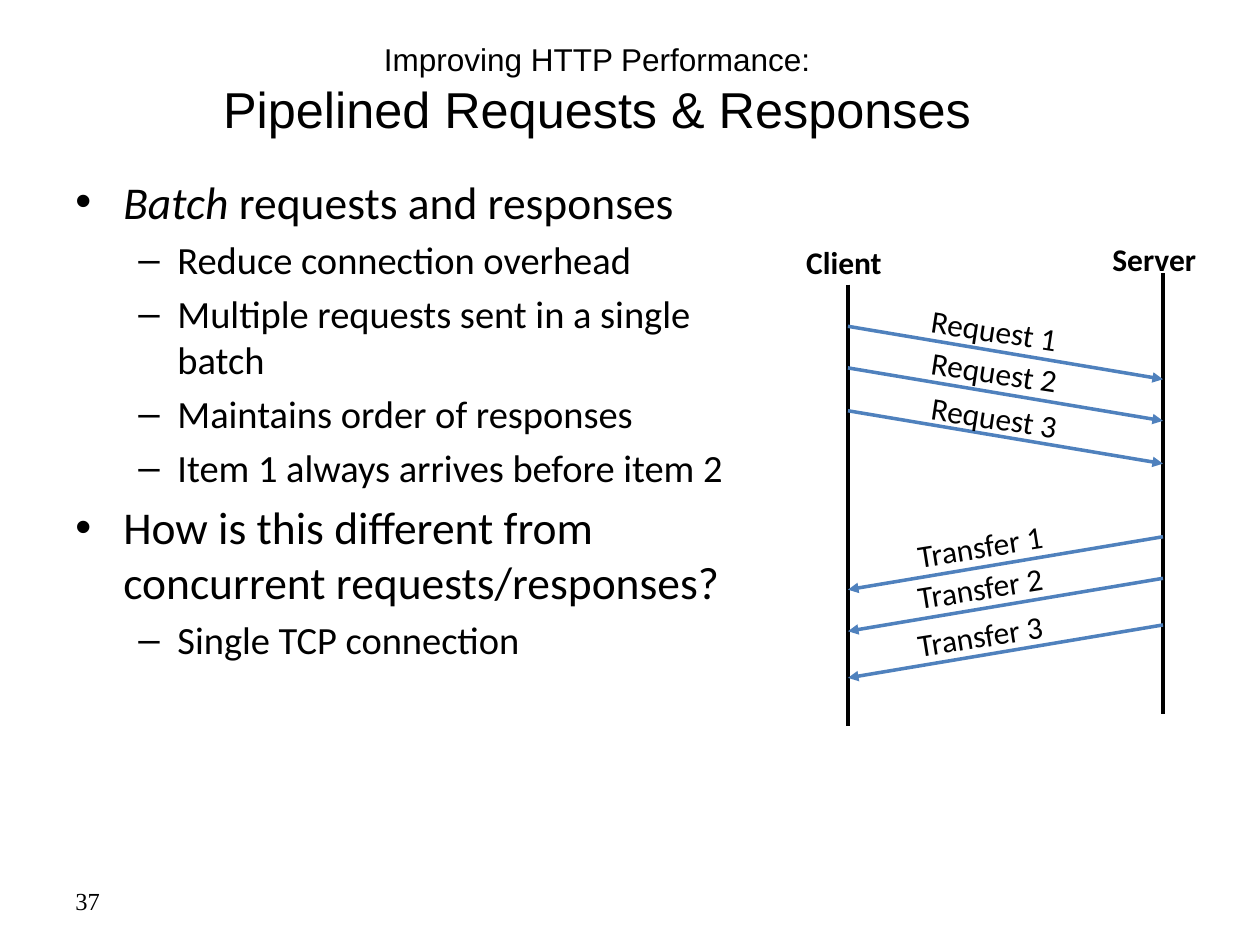
from lxml import etree
from pptx import Presentation
from pptx.dml.color import RGBColor
from pptx.enum.shapes import MSO_CONNECTOR
from pptx.enum.text import MSO_ANCHOR, MSO_AUTO_SIZE, PP_ALIGN
from pptx.oxml.ns import qn
from pptx.util import Inches, Pt

STRAIGHT = MSO_CONNECTOR.STRAIGHT
TOP, MIDDLE = MSO_ANCHOR.TOP, MSO_ANCHOR.MIDDLE
CENTER = PP_ALIGN.CENTER
NO_FIT = MSO_AUTO_SIZE.NONE
TITLE_ONLY = 5
COLORS = {"text": "000000", "arrow": "4F81BD"}
CLIENT_COLUMN, SERVER_COLUMN = 67.3, 92.3
LEVELS = [("•", 0.38, 0.38, 26), ("–", 0.81, 0.31, 22)]
POINTS = [
    (0, [("Batch", True), (" requests and responses", False)]),
    (1, [("Reduce connection overhead", False)]),
    (1, [("Multiple requests sent in a single batch", False)]),
    (1, [("Maintains order of responses", False)]),
    (1, [("Item 1 always arrives before item 2", False)]),
    (0, [("How is this different from concurrent requests/responses?", False)]),
    (1, [("Single TCP connection", False)]),
]
LIFELINES = [
    ("Client", CLIENT_COLUMN, 22.6, (63, 18.8, 8.1, 4)),
    ("Server", SERVER_COLUMN, 21.7, (87.3, 18.6, 8.7, 4)),
]
MESSAGES = [
    ("Request", CLIENT_COLUMN, SERVER_COLUMN, 72.9, 12.2, 8.7,
     [(25.9, 24.2), (29.2, 27.5), (32.6, 31.1)]),
    ("Transfer", SERVER_COLUMN, CLIENT_COLUMN, 71.8, 12.4, 350.9,
     [(42.6, 41.3), (45.9, 44.6), (49.6, 48.4)]),
]


class SlideBuilder:
    """Draws styled elements on one slide, placed on a 100 by 75 grid."""

    def __init__(self, presentation):
        self.cell = presentation.slide_width / 100
        self.slide = presentation.slides.add_slide(presentation.slide_layouts[TITLE_ONLY])

    def lengths(self, *cells):
        return [round(count * self.cell) for count in cells]

    def style(self, font, size, name="Calibri", bold=False):
        font.name, font.size, font.bold = name, Pt(size), bold
        font.color.rgb = RGBColor.from_string(COLORS["text"])

    def title(self, area, lines):
        shape = self.slide.shapes.title
        shape.left, shape.top, shape.width, shape.height = self.lengths(*area)
        frame = shape.text_frame
        frame.auto_size, frame.vertical_anchor = NO_FIT, MIDDLE
        paragraph = frame.paragraphs[0]
        paragraph.alignment = CENTER
        for index, (text, size) in enumerate(lines):
            if index:
                paragraph.add_line_break()
            run = paragraph.add_run()
            run.text = text
            self.style(run.font, size, "Arial")

    def text_box(self, area, wrap=True, anchor=TOP, rotation=0):
        shape = self.slide.shapes.add_textbox(*self.lengths(*area))
        shape.rotation = rotation
        frame = shape.text_frame
        frame.word_wrap, frame.vertical_anchor = wrap, anchor
        return frame

    def label(self, area, text, size=18, name="Calibri", bold=False, **options):
        paragraph = self.text_box(area, **options).paragraphs[0]
        paragraph.text = text
        self.style(paragraph.font, size, name, bold)

    def bullets(self, area, points):
        frame = self.text_box(area)
        for index, (level, runs) in enumerate(points):
            paragraph = frame.add_paragraph() if index else frame.paragraphs[0]
            mark, margin, hanging, size = LEVELS[level]
            paragraph.level = level
            paragraph.space_before = Pt(size * 0.2 if index else 0)
            properties = paragraph._p.get_or_add_pPr()
            properties.set("marL", str(Inches(margin)))
            properties.set("indent", str(-Inches(hanging)))
            etree.SubElement(properties, qn("a:buFont"), typeface="Arial")
            etree.SubElement(properties, qn("a:buChar"), char=mark)
            self.style(paragraph.font, size)
            for text, italic in runs:
                run = paragraph.add_run()
                run.text = text
                if italic:
                    run.font.italic = True

    def line(self, start, end, color, arrow=False):
        connector = self.slide.shapes.add_connector(STRAIGHT, *self.lengths(*start, *end))
        connector.line.width = Pt(2)
        connector.line.color.rgb = RGBColor.from_string(COLORS[color])
        if arrow:
            etree.SubElement(connector.line._get_or_add_ln(), qn("a:tailEnd"), type="triangle")
        etree.SubElement(connector._element.spPr, qn("a:effectLst"))


def main():
    presentation = Presentation()
    presentation.slide_width, presentation.slide_height = Inches(10), Inches(7.5)
    builder = SlideBuilder(presentation)
    builder.title((3.3, 2.5, 88.2, 9.2), [
        ("Improving HTTP Performance:", 18),
        ("Pipelined Requests & Responses", 28.8),
    ])
    builder.bullets((5, 13.3, 57.5, 57.5), POINTS)
    for name, column, top, area in LIFELINES:
        builder.line((column, top), (column, top + 35), "text")
        builder.label(area, name, bold=True, wrap=False)
    for name, start, end, left, width, rotation, rows in MESSAGES:
        for number, (row, label_row) in enumerate(rows, 1):
            builder.line((start, row), (end, row + 4.2), "arrow", arrow=True)
            builder.label((left, label_row, width, 4), f"{name} {number}",
                          wrap=False, rotation=rotation)
    builder.label((5, 69.5, 23.3, 4), "37", 14, "Times New Roman", anchor=MIDDLE)
    presentation.save("out.pptx")


if __name__ == "__main__":
    main()
